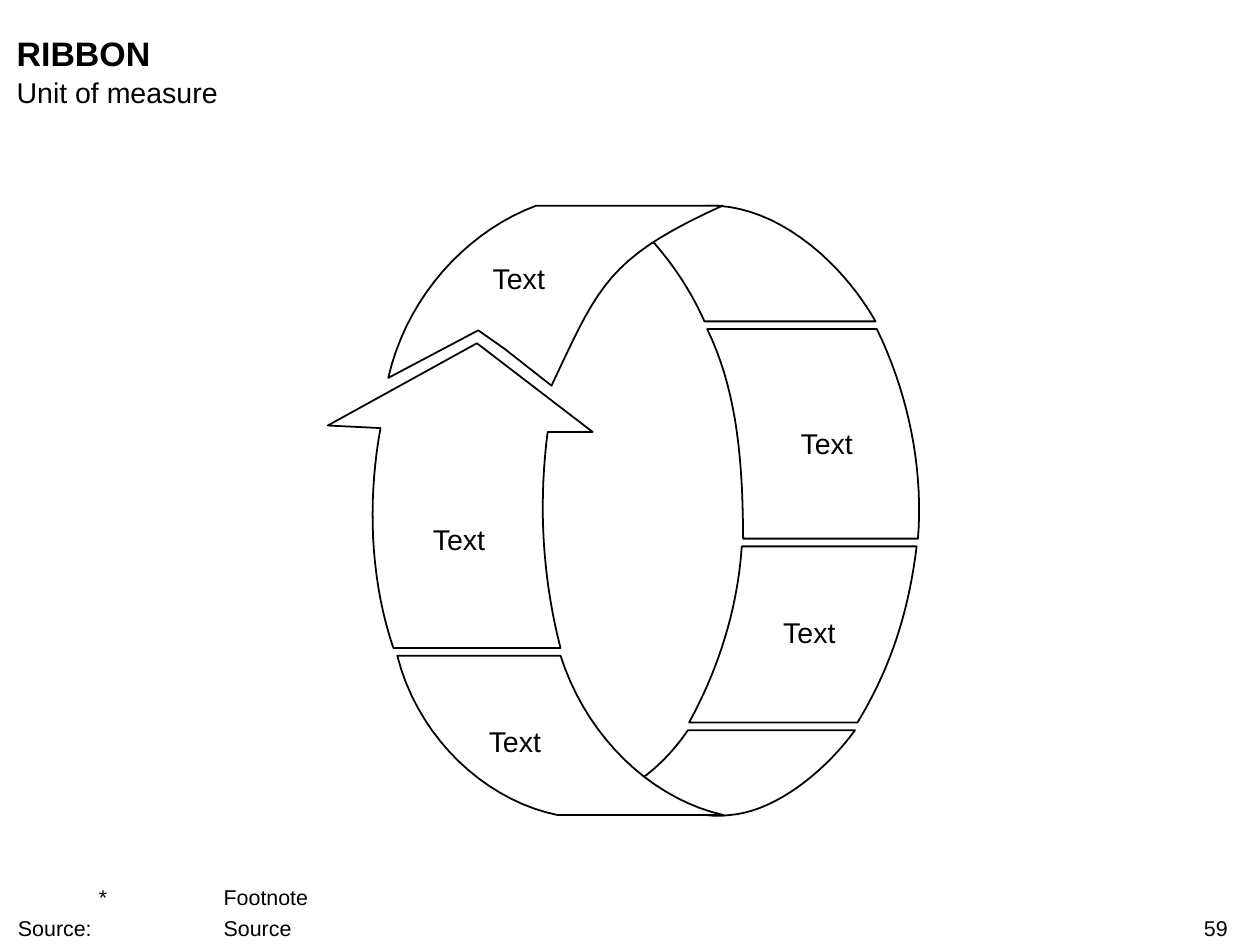
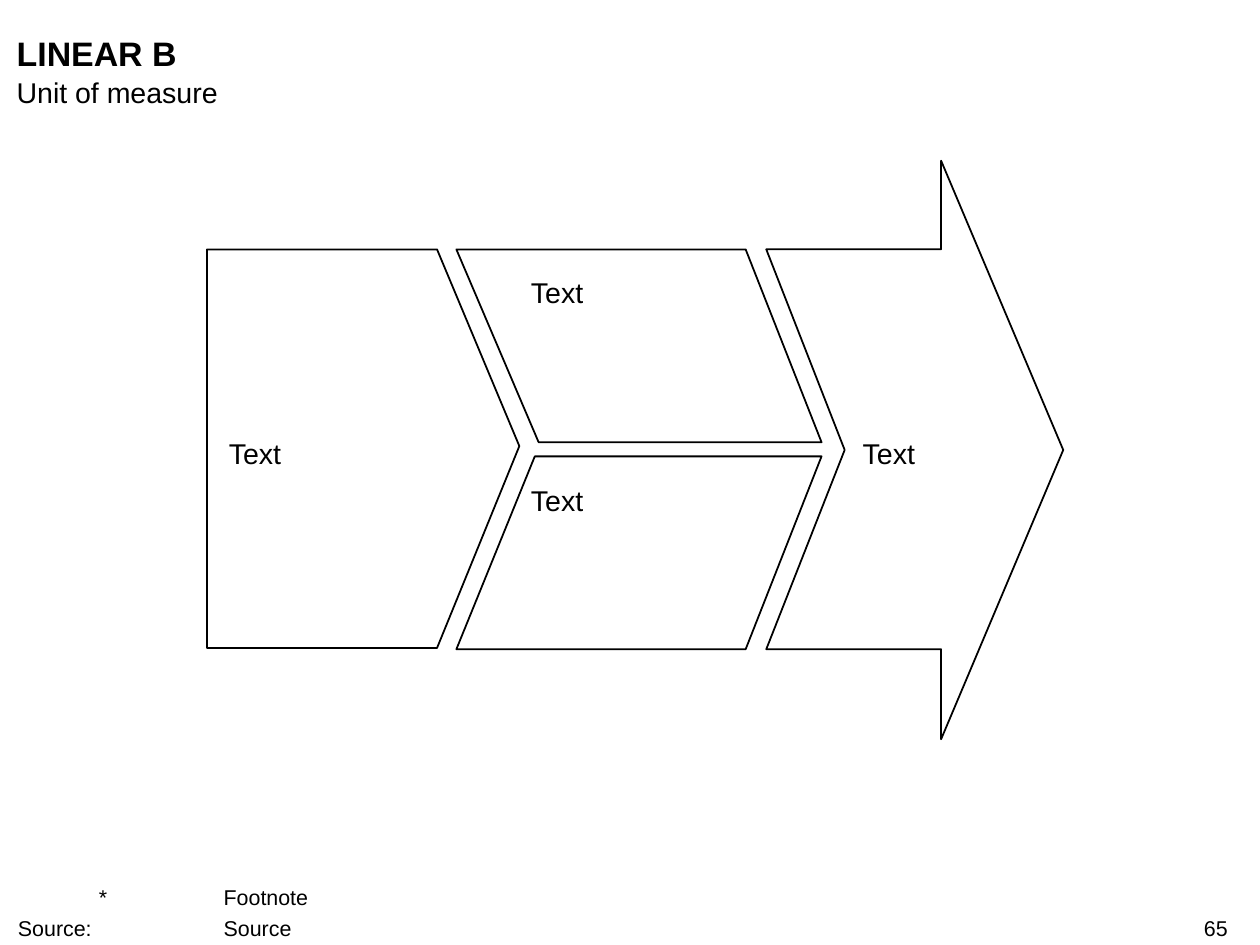
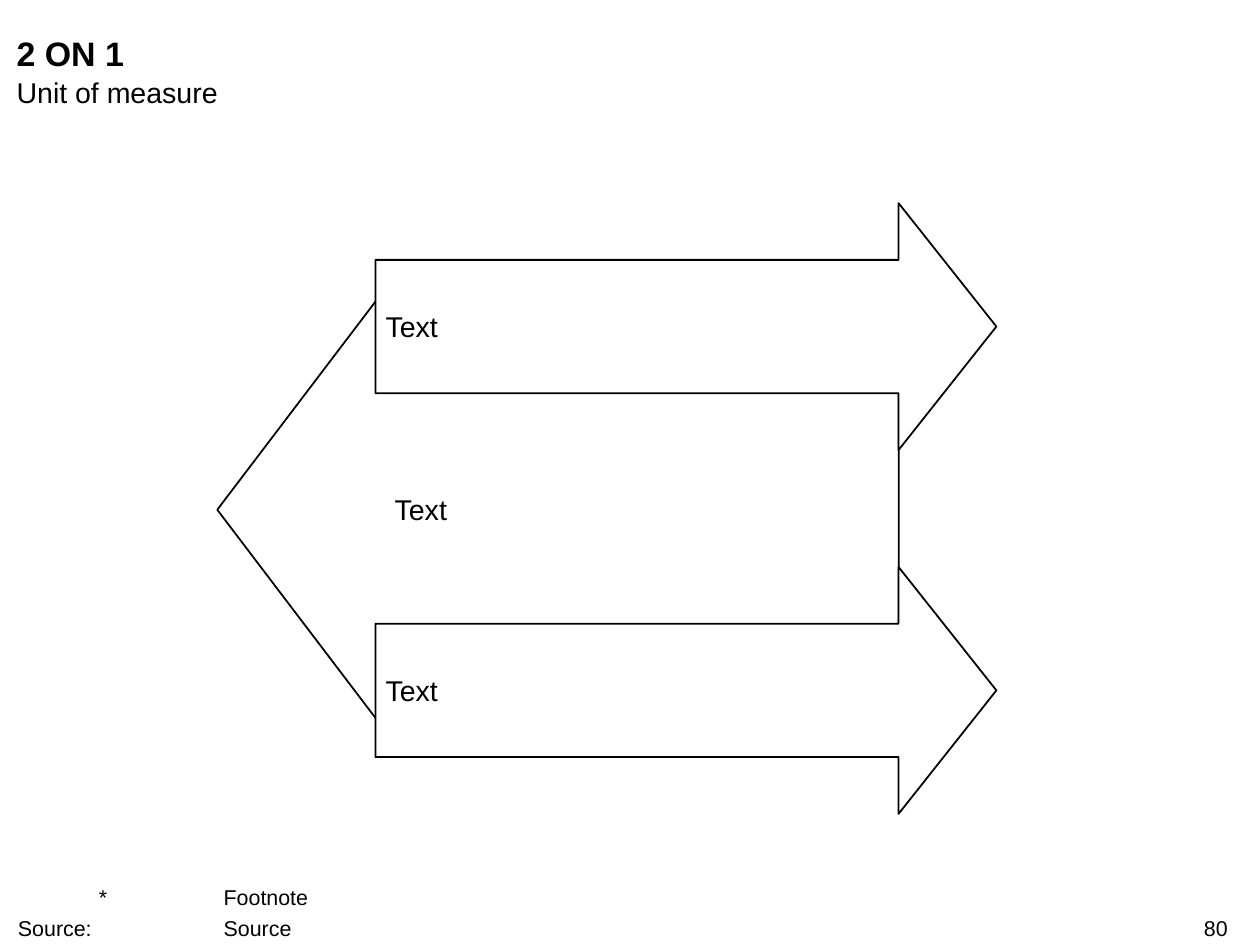
from math import prod

from lxml import etree
from pptx import Presentation
from pptx.dml.color import RGBColor
from pptx.enum.shapes import MSO_SHAPE
from pptx.enum.text import MSO_ANCHOR, MSO_AUTO_SIZE, PP_ALIGN
from pptx.oxml.ns import qn
from pptx.util import Emu, Pt

PX = 9144  # 100 px to the inch
WIDTH, HEIGHT = 980, 735
BLACK = RGBColor(0, 0, 0)
WHITE = RGBColor(255, 255, 255)

LEFT, CENTER, RIGHT = PP_ALIGN.LEFT, PP_ALIGN.CENTER, PP_ALIGN.RIGHT
TOP, MIDDLE, BOTTOM = MSO_ANCHOR.TOP, MSO_ANCHOR.MIDDLE, MSO_ANCHOR.BOTTOM
NO_FIT = MSO_AUTO_SIZE.NONE
RIGHT_ARROW, LEFT_ARROW = MSO_SHAPE.RIGHT_ARROW, MSO_SHAPE.LEFT_ARROW

FRAME = {"word_wrap": True, "auto_size": NO_FIT, "margin_left": 0,
         "margin_top": 0, "margin_right": 0, "margin_bottom": 0}
FONT = {"name": "Arial", "bold": False, "size": Pt(16)}
TITLE = {"size": Pt(19), "bold": True}
SMALL = {"size": Pt(12)}

# Each strip is a list of runs; a run of three or more points is a curve.
RIBBON = [
    [[(410, 408), (382, 439), (348, 463), (312, 474)],
     [(312, 474), (285, 472), (262, 461), (245, 445)],
     [(245, 445), (264, 428), (280, 408)]],
    [[(426, 90), (401, 55), (368, 25), (332, 6), (298, 0)],
     [(298, 0), (270, 7), (252, 27)],
     [(252, 27), (275, 57), (293, 90)]],
    [[(116, 107), (0, 171)],
     [(41, 173), (35, 230), (38, 288), (51, 344)],
     [(181, 344), (168, 261), (171, 176)],
     [(206, 176)]],
    [[(162, 0), (111, 30), (71, 76), (47, 134)],
     [(117, 97), (137, 111)],
     [(174, 140), (205, 78), (241, 37), (307, 0)]],
    [[(179, 474), (125, 451), (81, 408), (54, 350)],
     [(181, 350), (210, 407), (254, 450), (308, 474)]],
    [[(323, 259), (321, 203), (313, 148), (295, 96)],
     [(427, 96), (447, 148), (458, 203), (459, 259)]],
    [[(281, 402), (301, 359), (315, 313), (322, 265)],
     [(458, 265), (449, 314), (434, 359), (412, 402)]],
]
RIBBON_LABELS = [(94, 43, 109), (322, 171, 132), (309, 318, 131),
                 (76, 403, 139), (32, 246, 140)]

LINEAR = [
    [(435, 380), (571, 380), (571, 450), (666, 225),
     (571, 0), (571, 69), (435, 69), (496, 225)],
    [(419, 69), (478, 219), (258, 219), (194, 69)],
    [(419, 380), (478, 230), (255, 230), (194, 380)],
    [(243, 222), (179, 69), (0, 69), (0, 379), (179, 379)],
]
LINEAR_LABELS = [(17, 214, 184), (252, 89, 184), (252, 251, 184),
                 (510, 214, 121)]


def apply(target, *formats):
    for form in formats:
        for name, value in form.items():
            setattr(target, name, value)


def place(shape, x, y, w, h):
    apply(shape, {"left": Emu(x * PX), "top": Emu(y * PX),
                  "width": Emu(w * PX), "height": Emu(h * PX)})


def write(shape, lines, form, align=LEFT, anchor=TOP, inset=0, tabs=()):
    frame = shape.text_frame
    apply(frame, FRAME, {"vertical_anchor": anchor, "margin_left": inset * PX})
    frame.text = "\n".join(lines)
    for i, para in enumerate(frame.paragraphs):
        if tabs:
            stops = etree.SubElement(para._p.get_or_add_pPr(), qn("a:tabLst"))
            for stop in tabs:
                etree.SubElement(stops, qn("a:tab"), pos=str(stop * PX), algn="l")
        para.alignment = align
        if i:
            para.space_before = Pt(3)
        for run in para.runs:
            apply(run.font, FONT, form)
            run.font.color.rgb = BLACK


def label(slide, box, lines=("Text",), form=FONT, **kind):
    shape = slide.shapes.add_textbox(0, 0, 0, 0)
    place(shape, *box)
    write(shape, lines, form, **kind)


def style(shape):
    shape.shadow.inherit = False
    shape.fill.solid()
    shape.fill.fore_color.rgb = WHITE
    shape.line.color.rgb = BLACK
    shape.line.width = Pt(1)


def bend(keys, steps=18):
    """Points on the polynomial curve that passes evenly through the keys."""
    if len(keys) < 3:
        return keys
    last = len(keys) - 1
    curve = []
    for step in range(steps + 1):
        t = step * last / steps
        parts = [prod((t - j) / (i - j) for j in range(last + 1) if j != i)
                 for i in range(last + 1)]
        curve.append(tuple(sum(part * key[axis] for part, key in zip(parts, keys))
                           for axis in (0, 1)))
    return curve


def outline(slide, x, y, points):
    first, *rest = [(round((x + px) * PX), round((y + py) * PX))
                    for px, py in points]
    pen = slide.shapes.build_freeform(*first)
    pen.add_line_segments(rest, close=True)
    style(pen.convert_to_shape())


def arrow(slide, kind, box, head):
    shape = slide.shapes.add_shape(kind, 0, 0, 0, 0)
    place(shape, *box)
    shape.adjustments[0], shape.adjustments[1] = 0.54, head
    style(shape)
    return shape


def ribbon(slide, x, y):
    for strip in RIBBON:
        outline(slide, x, y, [point for run in strip for point in bend(run)])
    for dx, dy, w in RIBBON_LABELS:
        label(slide, (x + dx, y + dy, w, 27), align=CENTER, anchor=MIDDLE)


def linear(slide, x, y):
    for points in LINEAR:
        outline(slide, x, y, points)
    for dx, dy, w in LINEAR_LABELS:
        label(slide, (x + dx, y + dy, w, 27))


def two_on_one(slide, x, y):
    arrow(slide, LEFT_ARROW, (x, y + 68, 530, 341), 0.38)
    label(slide, (x + 138, y + 225, 367, 27))
    for dy in (0, 283):
        shape = arrow(slide, RIGHT_ARROW, (x + 123, y + dy, 483, 192), 0.396)
        write(shape, ["Text"], FONT, anchor=MIDDLE, inset=8)


def page(deck, title, number, draw, x, y):
    """Add a slide with the shared title, footnote and number, then draw on it."""
    slide = deck.slides.add_slide(deck.slide_layouts[5])
    head = slide.shapes.title
    place(head, 13, 25, 943, 32)
    write(head, [title], TITLE)
    label(slide, (13, 58, 943, 27), ["Unit of measure"])
    draw(slide, x, y)
    label(slide, (14, 688, 893, 44), ["\t*\tFootnote", "Source:\t\tSource"],
          SMALL, anchor=BOTTOM, tabs=(63, 160))
    label(slide, (751, 712, 204, 20), [number], SMALL, align=RIGHT)


def main():
    deck = Presentation()
    deck.slide_width, deck.slide_height = Emu(WIDTH * PX), Emu(HEIGHT * PX)
    page(deck, "RIBBON", "59", ribbon, 255, 160)
    page(deck, "LINEAR B", "65", linear, 161, 125)
    page(deck, "2 ON 1", "80", two_on_one, 169, 158)
    deck.save("out.pptx")


if __name__ == "__main__":
    main()
